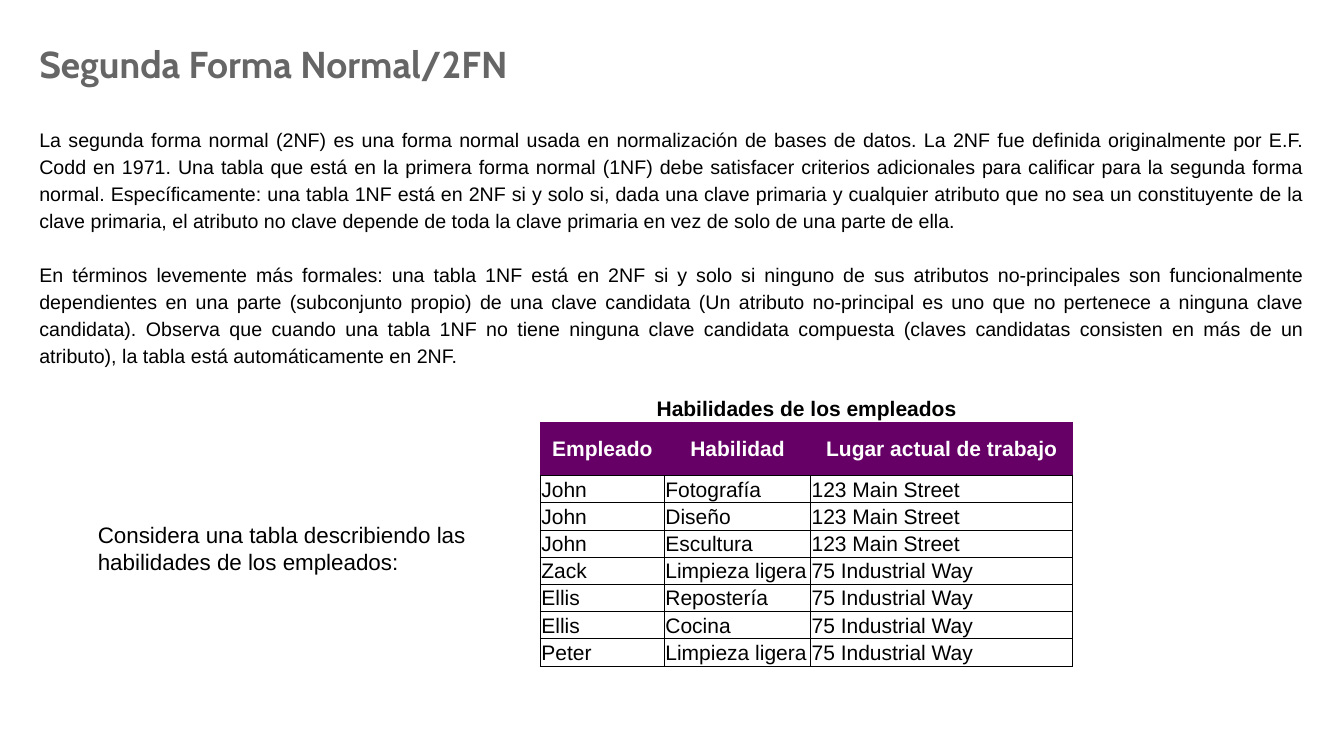
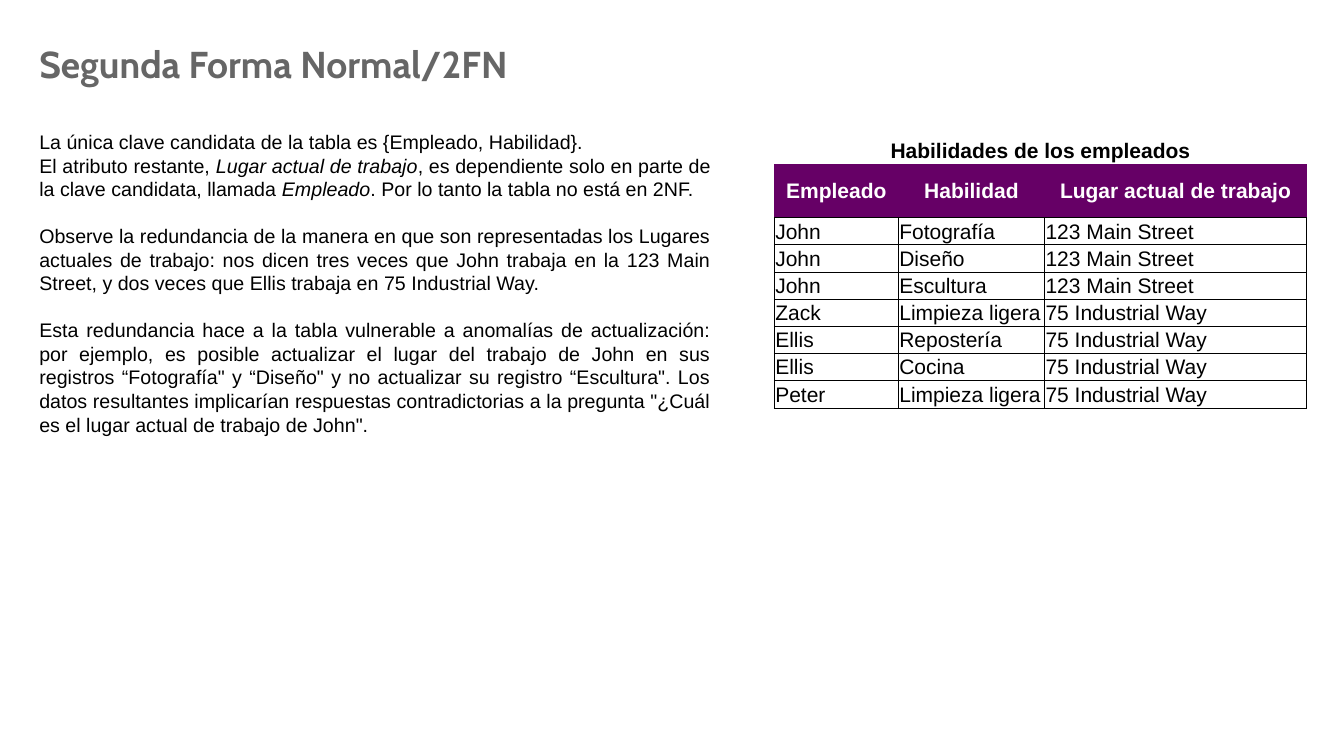
from lxml import etree
from pptx import Presentation
from pptx import util as u
from pptx.dml import color
from pptx.enum import text
from pptx.oxml import ns

COLORS = {"title": "666666", "ink": "000000", "header": "660066", "light": "FFFFFF"}
LEFT = 0.26
TITLE = "Segunda Forma Normal/2FN"
CAPTION = "Habilidades de los empleados"
COLUMNS = {"Empleado": 1.23, "Habilidad": 1.45, "Lugar actual de trabajo": 2.6}
CAPTION_HEIGHT, HEADER_HEIGHT, ROW_HEIGHT = 0.27, 0.53, 0.27
EMPLOYEES = [
    ("John", "Fotografía", "123 Main Street"),
    ("John", "Diseño", "123 Main Street"),
    ("John", "Escultura", "123 Main Street"),
    ("Zack", "Limpieza ligera", "75 Industrial Way"),
    ("Ellis", "Repostería", "75 Industrial Way"),
    ("Ellis", "Cocina", "75 Industrial Way"),
    ("Peter", "Limpieza ligera", "75 Industrial Way"),
]
ALL_SIDES = ("lnL", "lnR", "lnT", "lnB")
CELL_MARGINS = {"margin_left": 0.01, "margin_right": 0.01, "margin_top": 0.01, "margin_bottom": 0}

TITLE_FONT = {"name": "Cabin", "size": u.Pt(26.7), "bold": True, "color": "title"}
BODY_FONT = {"name": "Arial", "size": u.Pt(14), "color": "ink"}
NOTE_FONT = {**BODY_FONT, "size": u.Pt(16)}
CELL_FONT = {**BODY_FONT, "size": u.Pt(15), "bold": False}
CAPTION_FONT = {**CELL_FONT, "bold": True}
HEADER_FONT = {**CAPTION_FONT, "color": "light"}
CENTERED = {"alignment": text.PP_ALIGN.CENTER}
JUSTIFIED = {"alignment": text.PP_ALIGN.JUSTIFY}

DEFINITION = [
    ["La segunda forma normal (2NF) es una forma normal usada en normalización de bases de datos. "
     "La 2NF fue definida originalmente por E.F. Codd en 1971. Una tabla que está en la primera "
     "forma normal (1NF) debe satisfacer criterios adicionales para calificar para la segunda forma "
     "normal. Específicamente: una tabla 1NF está en 2NF si y solo si, dada una clave primaria y "
     "cualquier atributo que no sea un constituyente de la clave primaria, el atributo no clave "
     "depende de toda la clave primaria en vez de solo de una parte de ella."],
    ["En términos levemente más formales: una tabla 1NF está en 2NF si y solo si ninguno de sus "
     "atributos no-principales son funcionalmente dependientes en una parte (subconjunto propio) de "
     "una clave candidata (Un atributo no-principal es uno que no pertenece a ninguna clave "
     "candidata). Observa que cuando una tabla 1NF no tiene ninguna clave candidata compuesta "
     "(claves candidatas consisten en más de un atributo), la tabla está automáticamente en 2NF."],
]
KEY_ANALYSIS = [
    ["La única clave candidata de la tabla es {Empleado, Habilidad}."],
    ["El atributo restante, ", "Lugar actual de trabajo",
     ", es dependiente solo en parte de la clave candidata, llamada ", "Empleado",
     ". Por lo tanto la tabla no está en 2NF."],
    ["Observe la redundancia de la manera en que son representadas los Lugares actuales de trabajo: "
     "nos dicen tres veces que John trabaja en la 123 Main Street, y dos veces que Ellis trabaja en "
     "75 Industrial Way."],
    ["Esta redundancia hace a la tabla vulnerable a anomalías de actualización: por ejemplo, es "
     "posible actualizar el lugar del trabajo de John en sus registros “Fotografía\" y “Diseño\" y "
     "no actualizar su registro “Escultura\". Los datos resultantes implicarían respuestas "
     "contradictorias a la pregunta \"¿Cuál es el lugar actual de trabajo de John\"."],
]


def set_values(target, values):
    for name, value in values.items():
        setattr(target, name, value)


def rgb(name):
    return color.RGBColor.from_string(COLORS[name])


def write_runs(paragraph, pieces, font, layout):
    set_values(paragraph, layout)
    for index, piece in enumerate(pieces):
        run = paragraph.add_run()
        run.text = piece
        set_values(run.font, {key: value for key, value in font.items() if key != "color"})
        run.font.color.rgb = rgb(font["color"])
        if index % 2:
            run.font.italic = True


def add_text(slide, box, paragraphs, font, layout=None, inset=0.07, anchor=text.MSO_ANCHOR.TOP, gaps=None):
    frame = slide.shapes.add_textbox(*map(u.Inches, box)).text_frame
    set_values(frame, {
        "word_wrap": True, "vertical_anchor": anchor,
        "margin_left": u.Inches(0.13), "margin_right": u.Inches(0.13),
        "margin_top": u.Inches(inset), "margin_bottom": u.Inches(inset),
    })
    for index, pieces in enumerate(paragraphs):
        paragraph = frame.add_paragraph() if index else frame.paragraphs[0]
        write_runs(paragraph, pieces, font, layout or {})
        paragraph.space_before = u.Pt((gaps or {}).get(index, 0))


def set_borders(cell, visible):
    properties = cell._tc.get_or_add_tcPr()
    for side in ALL_SIDES:
        line = etree.SubElement(properties, ns.qn(f"a:{side}"), w=str(u.Pt(0.75)))
        if side in visible:
            fill = etree.SubElement(line, ns.qn("a:solidFill"))
            etree.SubElement(fill, ns.qn("a:srgbClr"), val=COLORS["ink"])
        else:
            etree.SubElement(line, ns.qn("a:noFill"))


def style_cell(cell, borders, fill=None):
    set_values(cell, {name: u.Inches(value) for name, value in CELL_MARGINS.items()})
    cell.vertical_anchor = text.MSO_ANCHOR.MIDDLE
    set_borders(cell, borders)
    if fill:
        cell.fill.solid()
        cell.fill.fore_color.rgb = rgb(fill)
    else:
        cell.fill.background()


def add_skills_table(slide, left, top):
    heights = [CAPTION_HEIGHT, HEADER_HEIGHT] + [ROW_HEIGHT] * len(EMPLOYEES)
    widths = list(COLUMNS.values())
    box = map(u.Inches, (left, top, sum(widths), sum(heights)))
    table = slide.shapes.add_table(len(heights), len(widths), *box).table
    set_values(table, {"first_row": False, "horz_banding": False})
    for column, width in zip(table.columns, widths):
        column.width = u.Inches(width)
    for row, height in zip(table.rows, heights):
        row.height = u.Inches(height)

    rows = [(CAPTION,), tuple(COLUMNS), *EMPLOYEES]
    styles = [
        (CAPTION_FONT, CENTERED, (), None),
        (HEADER_FONT, CENTERED, ("lnB",), "header"),
    ] + [(CELL_FONT, {}, ALL_SIDES, None)] * len(EMPLOYEES)
    for row, values, (font, layout, borders, fill) in zip(table.rows, rows, styles):
        for cell in row.cells:
            style_cell(cell, borders, fill)
        for cell, value in zip(row.cells, values):
            write_runs(cell.text_frame.paragraphs[0], [value], font, layout)
    table.cell(0, 0).merge(table.cell(0, len(widths) - 1))


def add_titled_slide(presentation):
    slide = presentation.slides.add_slide(presentation.slide_layouts[6])
    add_text(slide, (LEFT, 0.33, 12.81, 0.6), [[TITLE]], TITLE_FONT,
             inset=0.13, anchor=text.MSO_ANCHOR.MIDDLE)
    return slide


def add_definition_slide(presentation):
    slide = add_titled_slide(presentation)
    add_text(slide, (LEFT, 1.1, 12.81, 2.65), DEFINITION, BODY_FONT,
             {**JUSTIFIED, "line_spacing": 1.15}, inset=0.13, gaps={1: 19.4})
    add_skills_table(slide, 5.36, 3.92)
    add_text(slide, (0.84, 5.1, 4.02, 0.67),
             [["Considera una tabla describiendo las habilidades de los empleados:"]], NOTE_FONT)


def add_analysis_slide(presentation):
    slide = add_titled_slide(presentation)
    add_skills_table(slide, 7.68, 1.36)
    add_text(slide, (LEFT, 1.22, 6.92, 3.43), KEY_ANALYSIS, BODY_FONT, JUSTIFIED,
             gaps={2: 16.8, 3: 16.8})


def main():
    presentation = Presentation()
    set_values(presentation, {"slide_width": u.Inches(13.33), "slide_height": u.Inches(7.5)})
    add_definition_slide(presentation)
    add_analysis_slide(presentation)
    presentation.save("out.pptx")


if __name__ == "__main__":
    main()
